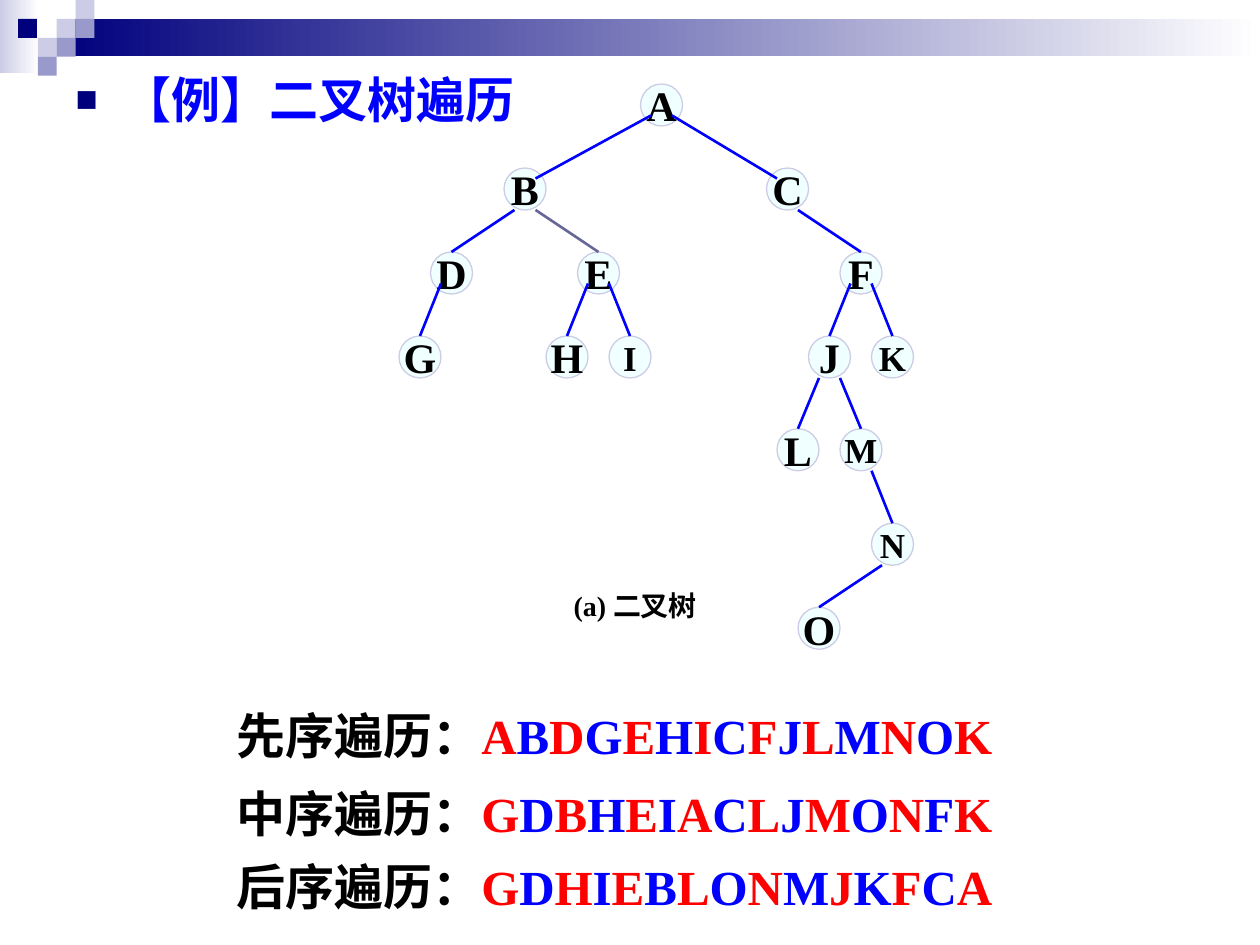
from itertools import cycle

from lxml.etree import SubElement
from pptx import Presentation
from pptx.dml.color import RGBColor
from pptx.enum.shapes import MSO_CONNECTOR, MSO_SHAPE
from pptx.enum.text import MSO_ANCHOR, MSO_AUTO_SIZE, PP_ALIGN
from pptx.oxml.ns import qn
from pptx.util import Pt

COLORS = {
    "navy": "00007D", "lilac": "CCCCE6", "violet": "9999CC", "white": "FFFFFF",
    "blue": "0000FF", "red": "FF0000", "black": "000000", "node": "F0FFFF", "slate": "666699",
}
SERIF = "Times New Roman"
NODE = 24
LEVELS = [0, 48, 96, 144, 197, 251, 299]
TREE = {
    "A": (138, 0, ""), "B": (60, 1, "A"), "C": (210, 1, "A"),
    "D": (18, 2, "B"), "E": (102, 2, "B"), "F": (252, 2, "C"),
    "G": (0, 3, "D"), "H": (84, 3, "E"), "I": (120, 3, "E"),
    "J": (234, 3, "F"), "K": (270, 3, "F"), "L": (216, 4, "J"),
    "M": (252, 4, "J"), "N": (270, 5, "M"), "O": (228, 6, "N"),
}
SMALL_LETTERS = "IKMN"
INNER_STARTS = "ADEF"
TRAVERSALS = [
    (399.6, "先序遍历：", "ABDGEHICFJLMNOK"),
    (444.24, "中序遍历：", "GDBHEIACLJMONFK"),
    (486, "后序遍历：", "GDHIEBLONMJKFCA"),
]


def rgb(name):
    """Return the named colour."""
    return RGBColor.from_string(COLORS[name])


def add_span(para, text, size, color, font=SERIF):
    """Append one bold run to a paragraph."""
    span = para.add_run()
    span.text = text
    span.font.name = font
    span.font.size = Pt(size)
    span.font.bold = True
    span.font.color.rgb = rgb(color)


def add_block(group, left, top, width, height, *fills):
    """Add a borderless rectangle, with a gradient when given two colours."""
    block = group.shapes.add_shape(
        MSO_SHAPE.RECTANGLE, Pt(left), Pt(top), Pt(width), Pt(height))
    block.shadow.inherit = False
    block.line.fill.background()
    if len(fills) == 1:
        block.fill.solid()
        block.fill.fore_color.rgb = rgb(fills[0])
        return
    block.fill.gradient()
    block.fill.gradient_angle = 0
    for stop, name in zip(block.fill.gradient_stops, fills):
        stop.color.rgb = rgb(name)


def add_banner(page, left, top):
    """Draw the gradient bar and its checkered corner."""
    group = page.shapes.add_group_shape()
    add_block(group, left, top, 22.3, 41.8, "lilac", "white")
    add_block(group, left + 32.4, top + 10.8, 687.6, 21.3, "navy", "white")
    tiles = [(32.4, 10.8, "lilac"), (43.2, 0, "lilac"), (43.2, 10.8, "violet"),
             (21.6, 21.6, "lilac"), (10.3, 10.8, "navy"), (32.4, 21.6, "violet"),
             (21.6, 32.4, "violet")]
    for x, y, color in tiles:
        add_block(group, left + x, top + y, 10.8, 10.8, color)


def add_heading(page, left, top, width, height):
    """Fill the body placeholder with the bulleted heading."""
    title = page.shapes.title
    title.element.getparent().remove(title.element)
    box = page.placeholders[1]
    box.left, box.top, box.width, box.height = Pt(left), Pt(top), Pt(width), Pt(height)
    frame = box.text_frame
    frame.auto_size = MSO_AUTO_SIZE.NONE
    frame.vertical_anchor = MSO_ANCHOR.TOP
    para = frame.paragraphs[0]
    para.space_before = Pt(0)
    props = para._p.get_or_add_pPr()
    props.set("marL", str(Pt(27)))
    props.set("indent", str(Pt(-27)))
    SubElement(SubElement(props, qn("a:buClr")), qn("a:srgbClr"), val=COLORS["navy"])
    SubElement(props, qn("a:buSzPct"), val="75000")
    SubElement(props, qn("a:buFont"), typeface="Arial")
    SubElement(props, qn("a:buChar"), char="■")
    add_span(para, "【例】二叉树遍历", 28, "blue", "Arial")


def add_node(group, letter, left, top):
    """Add one lettered tree node."""
    node = group.shapes.add_shape(MSO_SHAPE.OVAL, Pt(left), Pt(top), Pt(NODE), Pt(NODE))
    node.shadow.inherit = False
    node.fill.solid()
    node.fill.fore_color.rgb = rgb("node")
    node.line.color.rgb = rgb("lilac")
    node.line.width = Pt(0.75)
    frame = node.text_frame
    frame.word_wrap = False
    frame.vertical_anchor = MSO_ANCHOR.MIDDLE
    para = frame.paragraphs[0]
    para.alignment = PP_ALIGN.CENTER
    add_span(para, letter, 20 if letter in SMALL_LETTERS else 24, "black")


def add_edge(group, start, end, color):
    """Add one straight branch between two points."""
    edge = group.shapes.add_connector(
        MSO_CONNECTOR.STRAIGHT, *(Pt(value) for value in start + end))
    edge.line.color.rgb = rgb(color)
    edge.line.width = Pt(1.5)
    SubElement(edge._element.spPr, qn("a:effectLst"))


def add_tree(page, left, top):
    """Draw the binary tree from its parent table."""
    group = page.shapes.add_group_shape()
    for letter, (x, level, _) in TREE.items():
        add_node(group, letter, left + x, top + LEVELS[level])
    for letter, (x, level, parent) in TREE.items():
        if not parent:
            continue
        parent_x, parent_level, _ = TREE[parent]
        shift = 6 if x > parent_x else -6
        drop = 18 if parent in INNER_STARTS else NODE
        start = (left + parent_x + NODE / 2 + shift, top + LEVELS[parent_level] + drop)
        end = (left + x + NODE / 2, top + LEVELS[level])
        if parent == "A":
            end = (end[0] - shift, end[1] + 6)
        add_edge(group, start, end, "slate" if letter == "E" else "blue")


def add_text(page, left, top, width, height, align, size, spans):
    """Add a one-line text box made of coloured runs."""
    box = page.shapes.add_textbox(Pt(left), Pt(top), Pt(width), Pt(height))
    box.text_frame.word_wrap = True
    box.text_frame.auto_size = MSO_AUTO_SIZE.SHAPE_TO_FIT_TEXT
    para = box.text_frame.paragraphs[0]
    para.alignment = align
    for text, color in spans:
        add_span(para, text, size, color)


def add_traversals(page, left, width):
    """List the three visiting orders in alternating colours."""
    for top, label, order in TRAVERSALS:
        spans = [(label, "black"), *zip(order, cycle(["red", "blue"]))]
        add_text(page, left, top, width, 41, PP_ALIGN.LEFT, 28, spans)


def main():
    """Build and save the deck."""
    deck = Presentation()
    deck.slide_width, deck.slide_height = Pt(720), Pt(540)
    page = deck.slides.add_slide(deck.slide_layouts[1])
    add_banner(page, 0, 0)
    add_heading(page, 36, 36, 648, 504)
    add_tree(page, 228, 48)
    add_text(page, 270, 332.64, 186, 26.64, PP_ALIGN.CENTER, 16, [("(a) 二叉树", "black")])
    add_traversals(page, 128.16, 465.84)
    deck.save("out.pptx")


if __name__ == "__main__":
    main()
